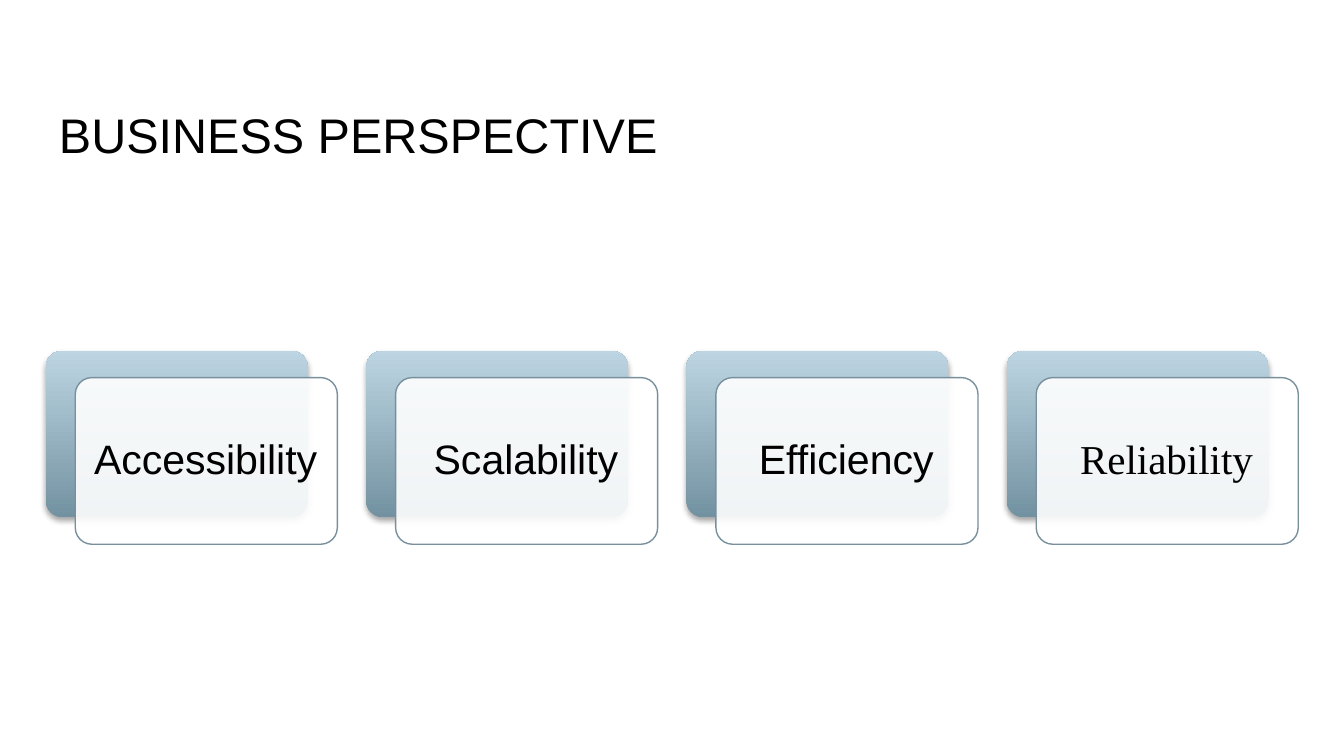
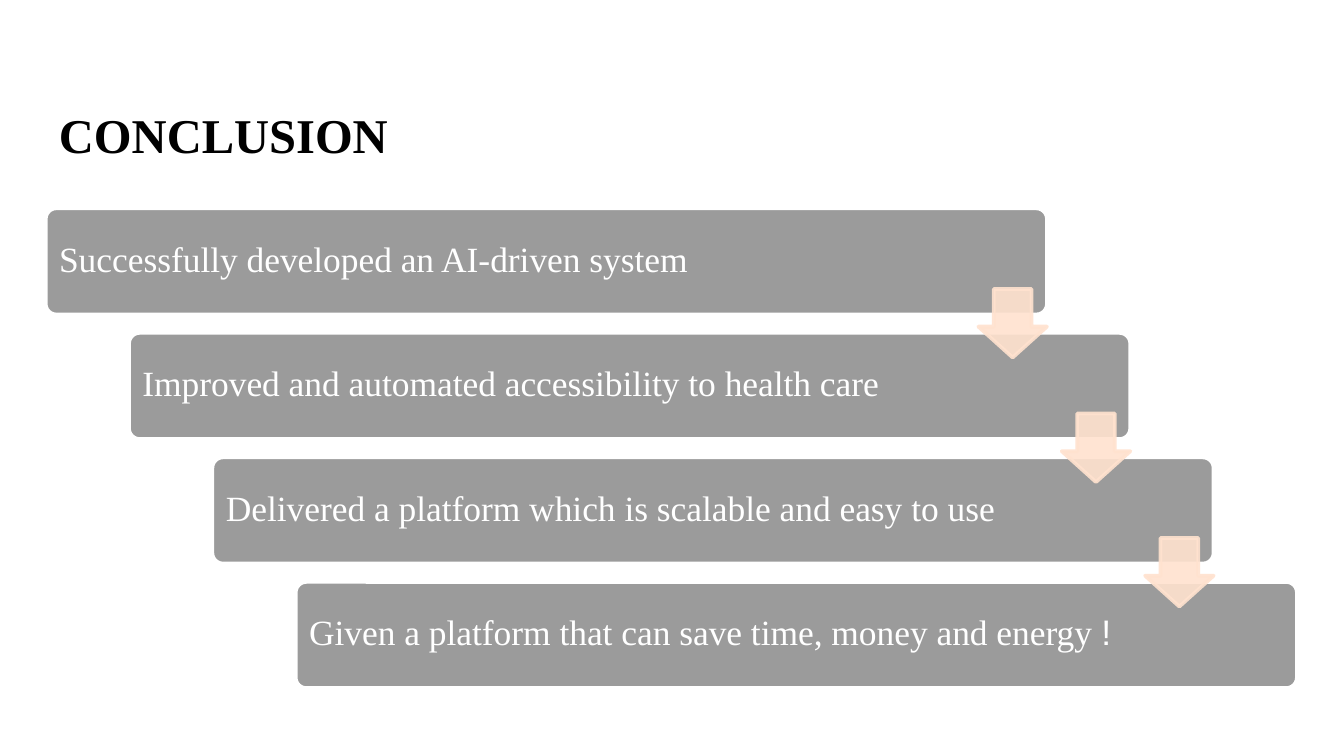
import pptx
import pptx.util
import pptx.dml.color
import pptx.enum.shapes
import pptx.enum.text
import pptx.oxml
import pptx.oxml.ns
from dataclasses import dataclass

Inches, Pt = pptx.util.Inches, pptx.util.Pt
SHAPE = pptx.enum.shapes.MSO_SHAPE
ALIGN = pptx.enum.text.PP_ALIGN


@dataclass(frozen=True)
class Theme:
    sans: str = "Arial"
    serif: str = "Times New Roman"
    black: str = "000000"
    white: str = "FFFFFF"
    deep: str = "7392A1"
    pale: str = "BDD5E2"
    edge: str = "78909C"
    gray: str = "9B9B9B"
    peach: str = "FFE2CF"
    title: int = 26
    card: int = 22
    step: int = 19
    sheer: int = 90


T = Theme()

# Content: titles as (text, font, bold), runs as (text, font)
HEADS = [("BUSINESS PERSPECTIVE", T.sans, False), ("CONCLUSION", T.serif, True)]
CARDS = [
    ("Accessibility", T.sans),
    ("Scalability", T.sans),
    ("Efficiency", T.sans),
    ("Reliability", T.serif),
]
STEPS = [
    (6.54, [("Successfully developed an AI-driven system", T.serif)]),
    (6.27, [("Improved and automated accessibility to health care", T.serif)]),
    (6.28, [("Delivered a platform which is scalable and easy to use", T.serif)]),
    (6.27, [("Given a platform that can save time, money and energy ", T.serif),
            ("!", T.sans)]),
]

# Layout, in inches
WIDE = 10
LEFT = 0.34
CARD_W, CARD_H, CARD_TOP, CARD_GAP = 1.95, 1.24, 2.61, 7.15 / 3
BAR_W, BAR_H, BAR_TOP = 7.45, 0.79, 1.55
STEP_X, STEP_Y = 1.86 / 3, 2.78 / 3
ARROW, DROP = 0.51, 0.6


def rgb(code):
    return pptx.dml.color.RGBColor.from_string(code)


def fade(part, pct):
    """Set the opacity of a solid fill or line."""
    hue = part.find(".//" + pptx.oxml.ns.qn("a:srgbClr"))
    hue.append(pptx.oxml.parse_xml(
        f'<a:alpha {pptx.oxml.ns.nsdecls("a")} val="{pct * 1000}"/>'))


def cast(shape):
    """Add a soft shadow straight below."""
    shape._element.spPr.find(pptx.oxml.ns.qn("a:effectLst")).append(
        pptx.oxml.parse_xml(
            f'<a:outerShdw {pptx.oxml.ns.nsdecls("a")} blurRad="{Pt(3.1)}" '
            f'dist="{Pt(1.8)}" dir="5400000" rotWithShape="0">'
            f'<a:srgbClr val="{T.black}"><a:alpha val="35000"/></a:srgbClr>'
            '</a:outerShdw>'))


def draw(slide, kind, box, fill=None, line=None, width=0, adj=(0.1,)):
    shape = slide.shapes.add_shape(kind, *map(Inches, box))
    shape.shadow.inherit = False
    for i, value in enumerate(adj):
        shape.adjustments[i] = value
    if fill:
        shape.fill.solid()
        shape.fill.fore_color.rgb = rgb(fill)
    if line:
        shape.line.color.rgb = rgb(line)
        shape.line.width = Pt(width)
    else:
        shape.line.fill.background()
    return shape


def write(slide, box, runs, size, color, pad, align=ALIGN.LEFT, bold=False):
    frame = slide.shapes.add_textbox(*map(Inches, box)).text_frame
    frame.word_wrap = True
    frame.vertical_anchor = pptx.enum.text.MSO_ANCHOR.MIDDLE
    frame.margin_left = frame.margin_right = Inches(pad)
    frame.margin_top = frame.margin_bottom = Inches(pad)
    para = frame.paragraphs[0]
    para.alignment = align
    para.line_spacing = 0.9
    for text, face in runs:
        run = para.add_run()
        run.text = text
        run.font.name = face
        run.font.size = Pt(size)
        run.font.bold = bold
        run.font.color.rgb = rgb(color)


def start(deck, head):
    """Add a white slide with its title."""
    slide = deck.slides.add_slide(deck.slide_layouts[6])
    slide.background.fill.solid()
    slide.background.fill.fore_color.rgb = rgb(T.white)
    text, face, bold = head
    write(slide, (LEFT, 0.71, 9.32, 0.63), [(text, face)],
          T.title, T.black, 0.1, bold=bold)
    return slide


def cards(slide):
    for i, label in enumerate(CARDS):
        x = LEFT + i * CARD_GAP
        # Gradient plate behind
        back = draw(slide, SHAPE.ROUNDED_RECTANGLE, (x, CARD_TOP, CARD_W, CARD_H))
        back.fill.gradient()
        back.fill.gradient_angle = 90
        for stop, code in zip(back.fill.gradient_stops, (T.deep, T.pale)):
            stop.color.rgb = rgb(code)
        cast(back)
        # Sheer card in front, with its label
        front = draw(slide, SHAPE.ROUNDED_RECTANGLE,
                     (x + 0.22, CARD_TOP + 0.2, CARD_W, CARD_H),
                     T.white, T.edge, 0.75)
        fade(front._element.spPr, T.sheer)
        write(slide, (x + 0.25, CARD_TOP + 0.24, 1.88, 1.17), [label],
              T.card, T.black, 0.09, ALIGN.CENTER)


def stairs(slide):
    spots = [(LEFT + i * STEP_X, BAR_TOP + i * STEP_Y) for i in range(len(STEPS))]
    # Bars
    for (x, y), (wide, runs) in zip(spots, STEPS):
        draw(slide, SHAPE.ROUNDED_RECTANGLE, (x, y, BAR_W, BAR_H),
             T.gray, T.white, 2)
        write(slide, (x + 0.02, y + 0.02, wide, 0.74), runs,
              T.step, T.white, 0.08)
    # Arrows from each bar to the next
    for x, y in spots[:-1]:
        arrow = draw(slide, SHAPE.DOWN_ARROW,
                     (x + BAR_W - ARROW, y + DROP, ARROW, ARROW),
                     T.peach, T.peach, 2, (0.55, 0.45))
        fade(arrow._element.spPr, T.sheer)
        fade(arrow.line._ln, T.sheer)


def main():
    deck = pptx.Presentation()
    deck.slide_width = Inches(WIDE)
    deck.slide_height = Inches(WIDE * 9 / 16)
    for head, fill in zip(HEADS, (cards, stairs)):
        fill(start(deck, head))
    deck.save("out.pptx")


if __name__ == "__main__":
    main()
